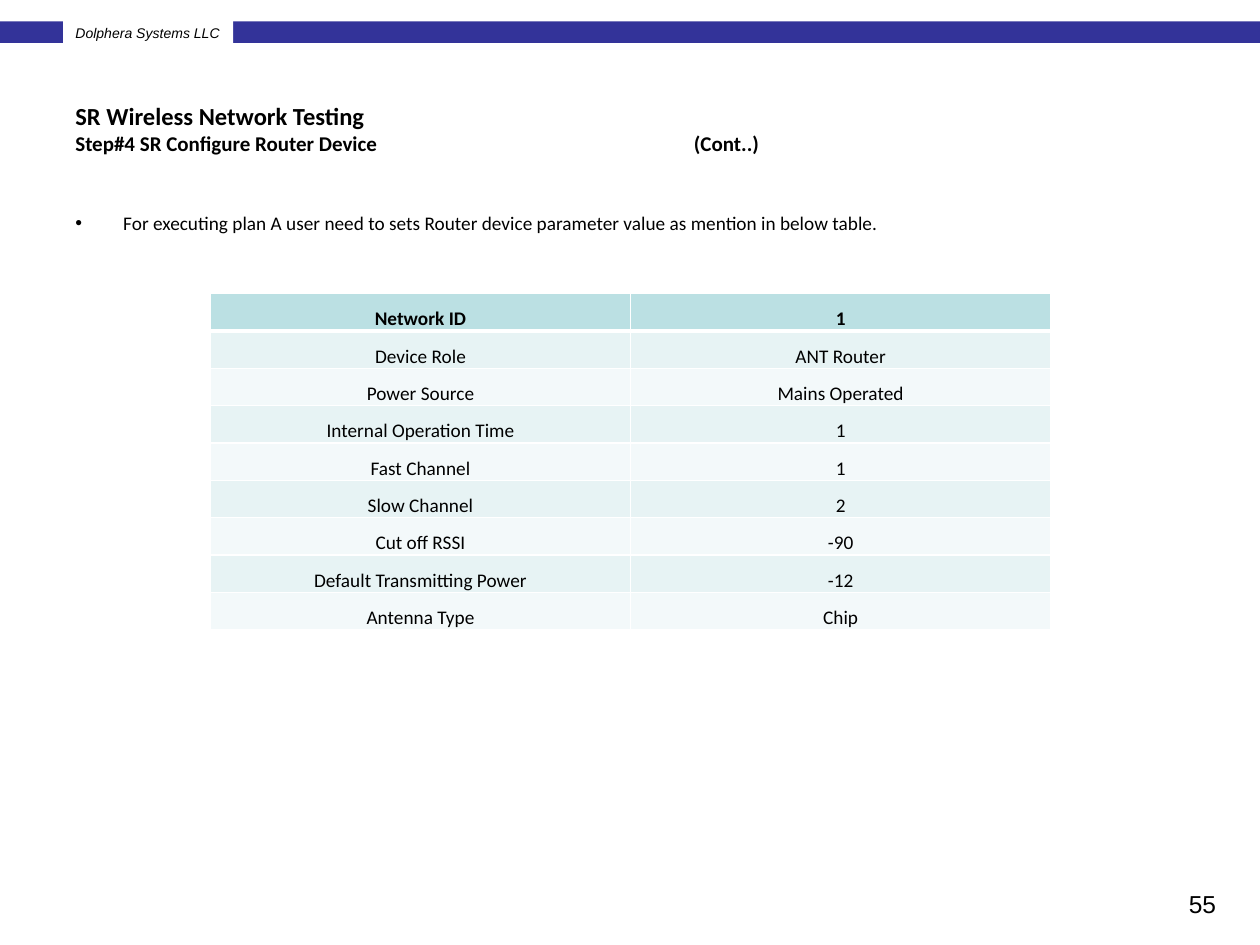
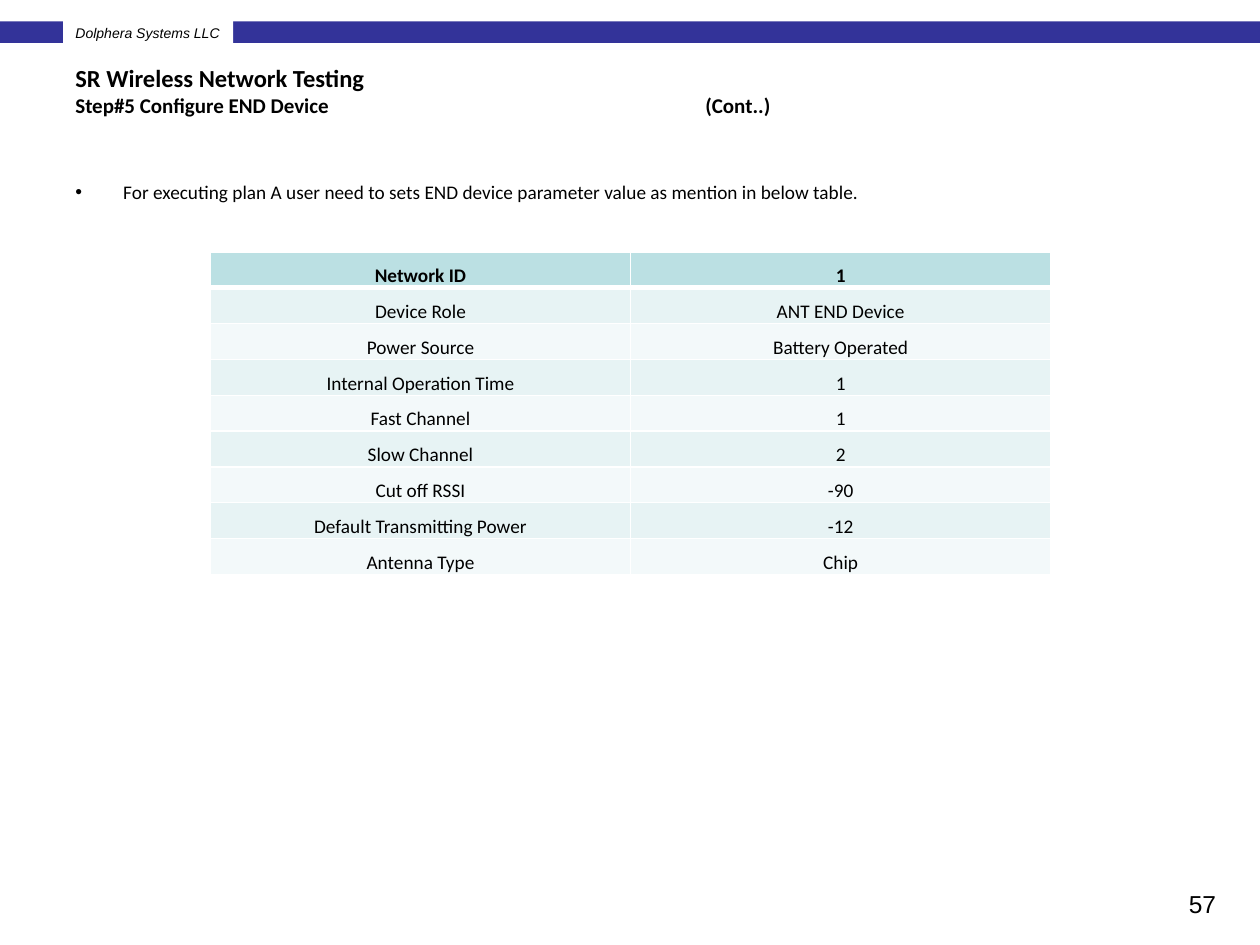
from lxml.etree import SubElement
from pptx import Presentation
from pptx.dml.color import RGBColor
from pptx.enum.shapes import MSO_SHAPE
from pptx.enum.text import MSO_ANCHOR, PP_ALIGN
from pptx.oxml.ns import qn
from pptx.util import Inches, Pt

BLACK = RGBColor(0x00, 0x00, 0x00)
WHITE = RGBColor(0xFF, 0xFF, 0xFF)
BAND_BLUE = RGBColor(0x33, 0x33, 0x99)
HEADER_FILL = RGBColor(0xBB, 0xE0, 0xE3)
ROW_FILLS = (RGBColor(0xE7, 0xF3, 0xF4), RGBColor(0xF3, 0xF9, 0xFA))
HEADING_FONT = "Calibri"
BAND_FONT = "Arial"
COMPANY = "Dolphera Systems LLC"
HEADING = "SR Wireless Network Testing"
MARGIN = 0.5
CONTENT_WIDTH = 9
BULLET_INDENT = 0.38


def write_text(paragraph, text, size=11, font=HEADING_FONT, bold=False, italic=False, align=PP_ALIGN.LEFT):
    """Append a formatted run to a paragraph."""
    paragraph.alignment = align
    run = paragraph.add_run()
    run.text = text
    run.font.size = Pt(size)
    run.font.name = font
    run.font.bold = bold
    run.font.italic = italic
    run.font.color.rgb = BLACK


def add_text_box(slide, left, top, width, height):
    """Add a wrapping text box and return its first paragraph."""
    box = slide.shapes.add_textbox(Inches(left), Inches(top), Inches(width), Inches(height))
    box.text_frame.word_wrap = True
    return box.text_frame.paragraphs[0]


def add_rectangle(slide, left, top, width, height, color):
    """Add a plain filled rectangle."""
    shape = slide.shapes.add_shape(
        MSO_SHAPE.RECTANGLE, Inches(left), Inches(top), Inches(width), Inches(height))
    shape.shadow.inherit = False
    shape.fill.solid()
    shape.fill.fore_color.rgb = color
    shape.line.fill.background()
    return shape


def add_frame(slide, page_number):
    """Add the top band with the company label, and the page number."""
    add_rectangle(slide, 0, 0.17, 10, 0.17, BAND_BLUE)
    label = add_rectangle(slide, MARGIN, 0.14, 1.35, 0.24, WHITE)
    label.text_frame.word_wrap = False
    write_text(label.text_frame.paragraphs[0], COMPANY, size=8, font=BAND_FONT, italic=True)
    number = add_text_box(slide, 7.42, 7.01, 2.33, 0.35)
    write_text(number, str(page_number), size=14, font=BAND_FONT, align=PP_ALIGN.RIGHT)


def add_title(slide, top, step, tab_position):
    """Add the two-line title, its continuation mark set at a tab stop."""
    paragraph = add_text_box(slide, MARGIN, top, CONTENT_WIDTH, 0.55)
    tab_list = SubElement(paragraph._p.get_or_add_pPr(), qn("a:tabLst"))
    SubElement(tab_list, qn("a:tab"), pos=str(Inches(tab_position)), algn="l")
    write_text(paragraph, HEADING, size=14, bold=True)
    paragraph.add_line_break()
    write_text(paragraph, f"{step}\t(Cont..)", size=12, bold=True)


def add_bullet(slide, top, text):
    """Add one bulleted line with a hanging indent."""
    paragraph = add_text_box(slide, MARGIN, top, CONTENT_WIDTH, 0.3)
    properties = paragraph._p.get_or_add_pPr()
    properties.set("marL", str(Inches(BULLET_INDENT)))
    properties.set("indent", str(-Inches(BULLET_INDENT)))
    SubElement(properties, qn("a:buFont"), typeface="Arial")
    SubElement(properties, qn("a:buChar"), char="•")
    write_text(paragraph, text)


def set_borders(cell, top, bottom):
    """Draw white cell borders, with the given top and bottom widths in points."""
    properties = cell._tc.get_or_add_tcPr()
    for side, width in (("L", 1), ("R", 1), ("T", top), ("B", bottom)):
        line = SubElement(properties, qn(f"a:ln{side}"), w=str(Pt(width)))
        fill = SubElement(line, qn("a:solidFill"))
        SubElement(fill, qn("a:srgbClr"), val=str(WHITE))


def fill_cell(cell, text, row_index):
    """Write and style a cell according to its row."""
    is_header = row_index == 0
    cell.margin_left = cell.margin_right = Inches(0.07)
    cell.margin_top = cell.margin_bottom = 0
    cell.vertical_anchor = MSO_ANCHOR.BOTTOM
    set_borders(cell, top=3 if row_index == 1 else 1, bottom=3 if is_header else 1)
    cell.fill.solid()
    cell.fill.fore_color.rgb = HEADER_FILL if is_header else ROW_FILLS[(row_index - 1) % 2]
    paragraph = cell.text_frame.paragraphs[0]
    paragraph.line_spacing = 1.07
    write_text(paragraph, text, bold=is_header, align=PP_ALIGN.CENTER)


def add_parameter_table(slide, top, height, role, power_source):
    """Add the table of device parameters."""
    parameters = (
        ("Network ID", "1"),
        ("Device Role", role),
        ("Power Source", power_source),
        ("Internal Operation Time", "1"),
        ("Fast Channel", "1"),
        ("Slow Channel", "2"),
        ("Cut off RSSI", "-90"),
        ("Default Transmitting Power", "-12"),
        ("Antenna Type", "Chip"),
    )
    table = slide.shapes.add_table(
        len(parameters), 2, Inches(1.67), Inches(top), Inches(6.67), Inches(height)).table
    table.first_row = table.horz_banding = False
    for row_index, row in enumerate(parameters):
        for column_index, text in enumerate(row):
            fill_cell(table.cell(row_index, column_index), text, row_index)


def add_slide(presentation, page_number):
    """Add a blank slide carrying the shared frame."""
    slide = presentation.slides.add_slide(presentation.slide_layouts[6])
    add_frame(slide, page_number)
    return slide


def main():
    """Build both configuration slides."""
    presentation = Presentation()
    presentation.slide_width = Inches(10)
    presentation.slide_height = Inches(7.5)

    router = add_slide(presentation, 55)
    add_title(router, 0.75, "Step#4 SR Configure Router Device", 4.91)
    add_bullet(router, 1.63, "For executing plan A user need to sets Router device "
                             "parameter value as mention in below table.")
    add_parameter_table(router, 2.33, 2.67, "ANT Router", "Mains Operated")

    end_device = add_slide(presentation, 57)
    add_title(end_device, 0.45, "Step#5 Configure END Device", 5)
    add_bullet(end_device, 1.38, "For executing plan A user need to sets END device "
                                 "parameter value as mention in below table.")
    add_parameter_table(end_device, 2, 2.56, "ANT END Device", "Battery Operated")

    presentation.save("out.pptx")


if __name__ == "__main__":
    main()
